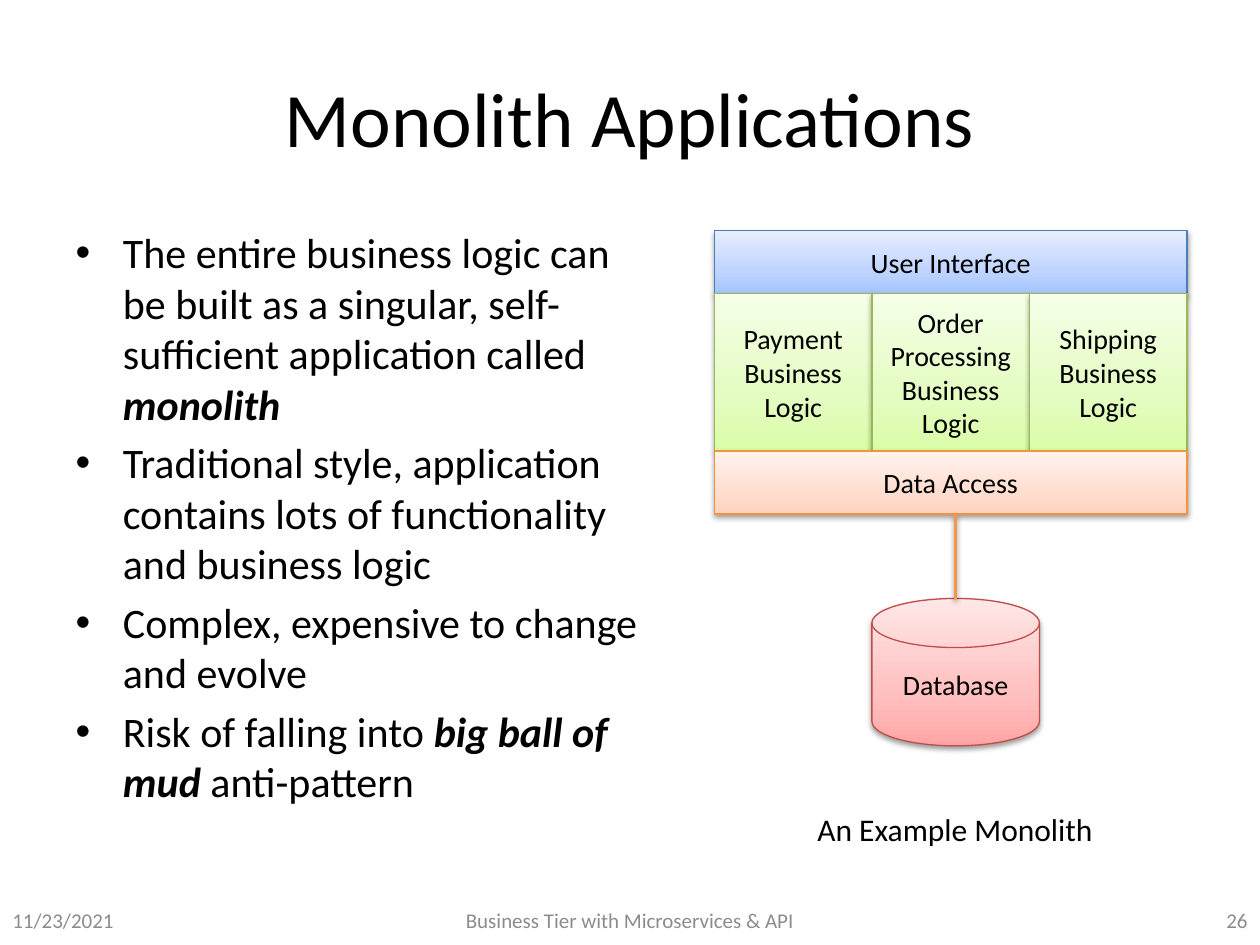
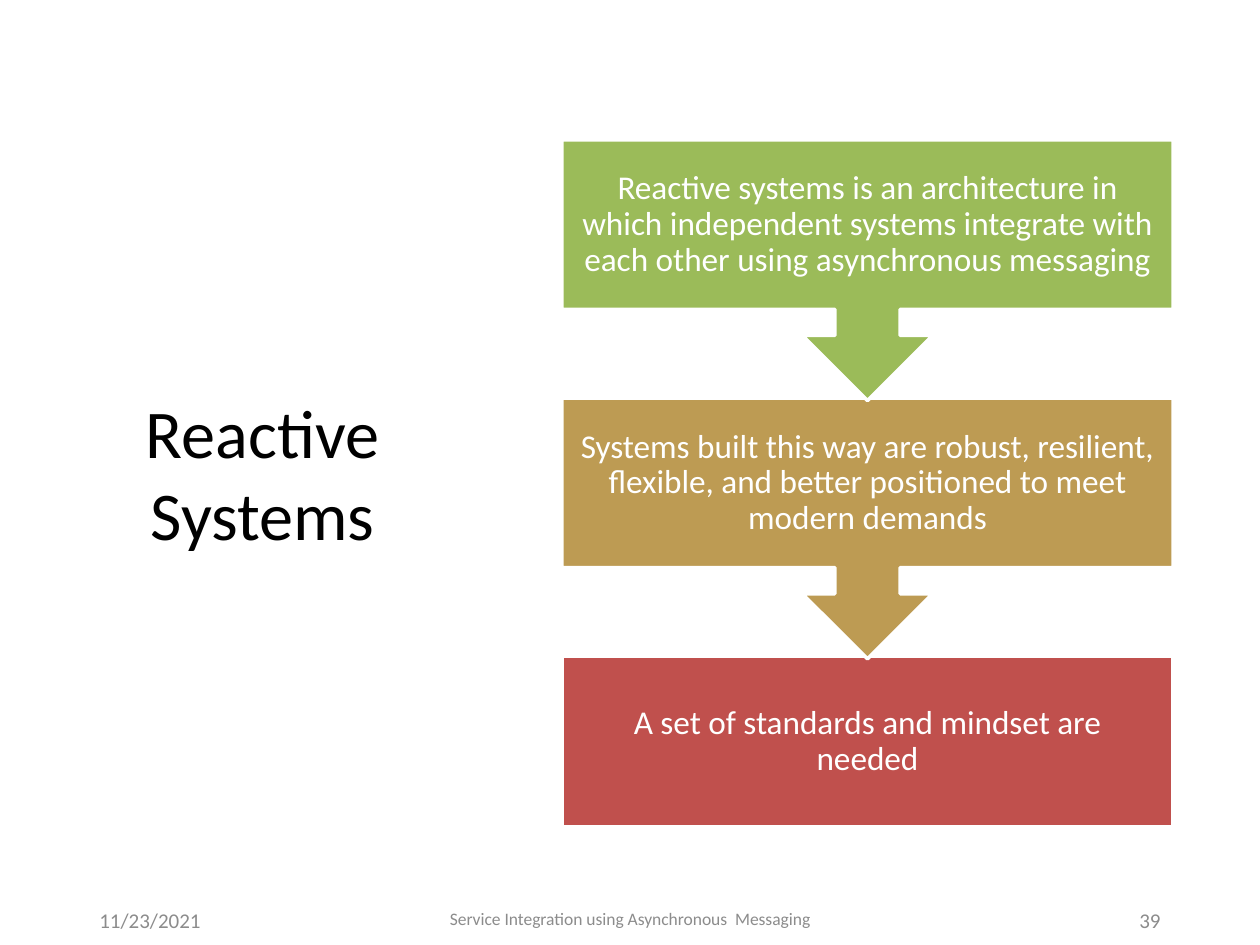
from lxml.etree import SubElement
from pptx import Presentation
from pptx.dml.color import RGBColor
from pptx.enum.shapes import MSO_CONNECTOR, MSO_SHAPE
from pptx.enum.text import MSO_ANCHOR, MSO_AUTO_SIZE, PP_ALIGN
from pptx.oxml.ns import qn
from pptx.util import Inches, Pt

FONT = "Calibri"
BLACK = RGBColor(0x00, 0x00, 0x00)
WHITE = RGBColor(0xFF, 0xFF, 0xFF)
FOOTER_GREY = RGBColor(0x8C, 0x8C, 0x8C)
ORANGE = RGBColor(0xF7, 0x96, 0x46)
GREEN = RGBColor(0x9B, 0xBB, 0x59)
OCHRE = RGBColor(0xBD, 0x9B, 0x53)
RED = RGBColor(0xC0, 0x50, 0x4D)

BLUE_TINT = [RGBColor.from_string(c) for c in ("A4C4FF", "BFD4FF", "E6EEFF", "4B7EBC")]
GREEN_TINT = [RGBColor.from_string(c) for c in ("DAFDA7", "E4FCC2", "F5FFE7", "98B955")]
ORANGE_TINT = [RGBColor.from_string(c) for c in ("FFD2BD", "FFDED0", "FFF2ED", "F69240")]
RED_TINT = [RGBColor.from_string(c) for c in ("FFA6A5", "FFC0BF", "FFE7E7", "BF4C48")]

CONCERNS = ["Payment", "Order Processing", "Shipping"]
MONOLITH_POINTS = [
    [("The entire business logic can be built as a singular, self-sufficient application called ", False),
     ("monolith", True)],
    [("Traditional style, application contains lots of functionality and business logic", False)],
    [("Complex, expensive to change and evolve", False)],
    [("Risk of falling into ", False), ("big ball of mud", True), (" anti-pattern", False)],
]
REACTIVE_STEPS = [
    ("Reactive systems is an architecture in which independent systems integrate "
     "with each other using asynchronous messaging", GREEN),
    ("Systems built this way are robust, resilient, flexible, and better positioned "
     "to meet modern demands", OCHRE),
    ("A set of standards and mindset are needed", RED),
]


def inches(box):
    """Turn a (left, top, width, height) box into lengths."""
    return [Inches(length) for length in box]


def add_run(paragraph, text, size, color=BLACK, emphasis=None):
    """Append one formatted run to a paragraph."""
    run = paragraph.add_run()
    run.text = text
    run.font.name = FONT
    run.font.size = Pt(size)
    run.font.color.rgb = color
    run.font.bold = run.font.italic = emphasis


def write_line(frame, text, size, color=BLACK, align=PP_ALIGN.CENTER,
               anchor=MSO_ANCHOR.MIDDLE, spacing=None):
    """Write a single paragraph into a text frame."""
    frame.word_wrap = True
    frame.auto_size = MSO_AUTO_SIZE.NONE
    frame.vertical_anchor = anchor
    paragraph = frame.paragraphs[0]
    paragraph.alignment = align
    paragraph.line_spacing = spacing
    add_run(paragraph, text, size, color)


def place(placeholder, box):
    """Move a placeholder to a box."""
    placeholder.left, placeholder.top, placeholder.width, placeholder.height = inches(box)


def add_title(slide, box, text, size):
    """Fill and place the title placeholder."""
    place(slide.shapes.title, box)
    write_line(slide.shapes.title.text_frame, text, size)


def add_label(slide, box, text, size, margin=None, **style):
    """Add a text box holding one line of text."""
    frame = slide.shapes.add_textbox(*inches(box)).text_frame
    if margin is not None:
        frame.margin_left = frame.margin_right = Inches(margin)
        frame.margin_top = frame.margin_bottom = Inches(margin)
    write_line(frame, text, size, **style)


def add_footer(slide, margin, side_width, center_width, texts, center_size=12, center_spacing=None):
    """Add date, topic and page number along the bottom edge."""
    date, topic, page = texts
    top, height = 7.1, 0.4
    add_label(slide, (margin, top, side_width, height), date, 12,
              color=FOOTER_GREY, align=PP_ALIGN.LEFT)
    add_label(slide, (5 - center_width / 2, top, center_width, height), topic, center_size,
              color=FOOTER_GREY, spacing=center_spacing)
    add_label(slide, (10 - margin - side_width, top, side_width, height), page, 12,
              color=FOOTER_GREY, align=PP_ALIGN.RIGHT)


def add_soft_shadow(properties):
    """Put a soft downward shadow into a shape's properties."""
    effects = properties.find(qn("a:effectLst"))
    if effects is None:
        effects = SubElement(properties, qn("a:effectLst"))
    shadow = SubElement(effects, qn("a:outerShdw"), blurRad="40000", dist="20000",
                        dir="5400000", rotWithShape="0")
    color = SubElement(shadow, qn("a:srgbClr"), val=str(BLACK))
    SubElement(color, qn("a:alpha"), val="38000")


def shade(shape, tints):
    """Fill a shape with a three-stop gradient rising from its base."""
    shape.fill.gradient()
    gradient = shape._element.spPr.find(qn("a:gradFill"))
    stops = gradient.find(qn("a:gsLst"))
    for stop in list(stops):
        stops.remove(stop)
    for position, tint in zip((0, 35000, 100000), tints):
        stop = SubElement(stops, qn("a:gs"), pos=str(position))
        SubElement(stop, qn("a:srgbClr"), val=str(tint))
    gradient.find(qn("a:lin")).set("ang", "16200000")


def add_component(slide, kind, box, text, palette):
    """Add one labelled part of the architecture diagram."""
    *tints, outline = palette
    component = slide.shapes.add_shape(kind, *inches(box))
    shade(component, tints)
    component.line.color.rgb = outline
    component.line.width = Pt(0.75)
    component.shadow.inherit = False
    add_soft_shadow(component._element.spPr)
    write_line(component.text_frame, text, 16)


def add_monolith_diagram(slide, left, top, width):
    """Stack the monolith's layers above its database."""
    layer, column = 0.5, width / len(CONCERNS)
    logic_top = top + layer
    access_top = logic_top + column
    stack_bottom = access_top + layer
    database_left, database_top, database_width = left + column, stack_bottom + 0.67, 1.33
    rectangle = MSO_SHAPE.RECTANGLE

    add_component(slide, rectangle, (left, top, width, layer), "User Interface", BLUE_TINT)
    for index, concern in enumerate(CONCERNS):
        add_component(slide, rectangle, (left + index * column, logic_top, column, column),
                      f"{concern} Business Logic", GREEN_TINT)
    add_component(slide, rectangle, (left, access_top, width, layer), "Data Access", ORANGE_TINT)
    add_component(slide, MSO_SHAPE.FLOWCHART_MAGNETIC_DISK,
                  (database_left, database_top, database_width, 1.17), "Database", RED_TINT)

    link_x = Inches(database_left + database_width / 2)
    link = slide.shapes.add_connector(MSO_CONNECTOR.STRAIGHT, link_x, Inches(stack_bottom),
                                      link_x, Inches(database_top))
    link.line.color.rgb = ORANGE
    link.line.width = Pt(2)
    add_soft_shadow(link._element.spPr)


def add_points(slide, box, points):
    """Fill the body placeholder with bulleted points."""
    body = slide.placeholders[1]
    place(body, box)
    frame = body.text_frame
    frame.auto_size = MSO_AUTO_SIZE.NONE
    for index, point in enumerate(points):
        paragraph = frame.add_paragraph() if index else frame.paragraphs[0]
        for text, emphasis in point:
            add_run(paragraph, text, 24, emphasis=emphasis)


def add_step_chain(slide, left, top, width, steps):
    """Stack callouts so that each points down to the next."""
    pitch, callout_height, panel_height = 2.05, 2.07, 1.35
    last = len(steps) - 1
    for index, (text, color) in reversed(list(enumerate(steps))):
        step_top = top + index * pitch
        kind = MSO_SHAPE.RECTANGLE if index == last else MSO_SHAPE.UP_ARROW_CALLOUT
        height = panel_height if index == last else callout_height
        callout = slide.shapes.add_shape(kind, *inches((left, step_top, width, height)))
        callout.rotation = 0 if index == last else 180
        callout.shadow.inherit = False
        callout.fill.solid()
        callout.fill.fore_color.rgb = color
        callout.line.color.rgb = WHITE
        callout.line.width = Pt(2)
        add_label(slide, (left, step_top, width, panel_height), text, 19,
                  margin=0.15, color=WHITE, spacing=0.9)


def build_monolith_slide(deck):
    """Build the slide on monolith applications."""
    slide = deck.slides.add_slide(deck.slide_layouts[1])
    add_title(slide, (0.5, 0.3, 9, 1.25), "Monolith Applications", 44)
    add_points(slide, (0.5, 1.75, 4.67, 4.95), MONOLITH_POINTS)
    add_footer(slide, 0, 2.33, 3.17,
               ("11/23/2021", "Business Tier with Microservices & API", "26"))
    add_label(slide, (6.04, 6.38, 3.08, 0.4), "An Example Monolith", 18, anchor=MSO_ANCHOR.TOP)
    add_monolith_diagram(slide, 5.67, 1.83, 3.75)


def build_reactive_slide(deck):
    """Build the slide on reactive systems."""
    slide = deck.slides.add_slide(deck.slide_layouts[5])
    add_title(slide, (0.53, 1.2, 3.11, 5.1), "Reactive Systems", 39)
    add_footer(slide, 0.69, 2.25, 3.38,
               ("11/23/2021", "Service Integration using Asynchronous  Messaging", "39"),
               center_size=10, center_spacing=0.9)
    add_step_chain(slide, 4.46, 1.11, 4.85, REACTIVE_STEPS)


def main():
    """Build and save the deck."""
    deck = Presentation()
    deck.slide_width, deck.slide_height = Inches(10), Inches(7.5)
    build_monolith_slide(deck)
    build_reactive_slide(deck)
    deck.save("out.pptx")


if __name__ == "__main__":
    main()
